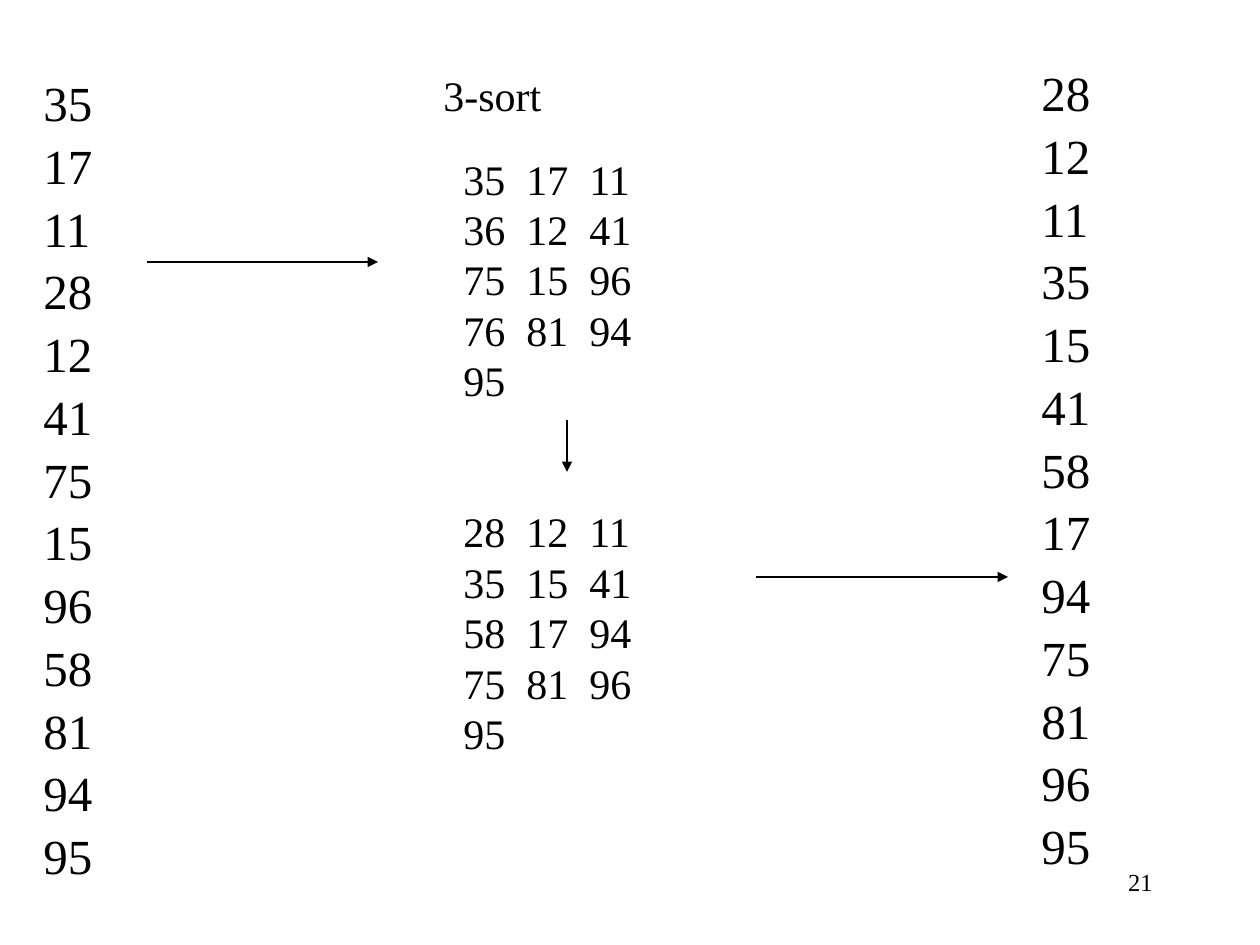
import pptx
import pptx.dml.color
import pptx.enum.shapes
import pptx.enum.text
import pptx.util
from lxml import etree
from pptx.oxml.ns import qn

BLACK = pptx.dml.color.RGBColor(0, 0, 0)
FONT = "Times New Roman"
EMU_PER_PX = 914400 / 126
TAB_STEP = 63

INPUT_VALUES = [35, 17, 11, 28, 12, 41, 75, 15, 96, 58, 81, 94, 95]
OUTPUT_VALUES = [28, 12, 11, 35, 15, 41, 58, 17, 94, 75, 81, 96, 95]
ROWS_BEFORE = [(35, 17, 11), (36, 12, 41), (75, 15, 96), (76, 81, 94), (95,)]
ROWS_AFTER = [(28, 12, 11), (35, 15, 41), (58, 17, 94), (75, 81, 96), (95,)]


def px(length):
    return pptx.util.Emu(round(length * EMU_PER_PX))


class SlideBuilder:
    """Holds the text and line style and the slide being filled."""

    def __init__(self, slide):
        self.slide = slide
        self.color = BLACK
        self.font = FONT

    def text(self, box, lines, size, align=pptx.enum.text.PP_ALIGN.LEFT):
        """Adds a text box with one paragraph a line; returns the paragraphs."""
        shape = self.slide.shapes.add_textbox(*map(px, box))
        frame = shape.text_frame
        frame.word_wrap = True
        frame.text = "\n".join(lines)
        for paragraph in frame.paragraphs:
            paragraph.alignment = align
            paragraph.font.name = self.font
            paragraph.font.size = pptx.util.Pt(size)
            paragraph.font.color.rgb = self.color
        return frame.paragraphs

    def number_column(self, left, top, values):
        size = 28
        for paragraph in self.text((left, top, 84, 840), map(str, values), size):
            paragraph.line_spacing = 0.9
            paragraph.space_before = pptx.util.Pt(0.2 * size)

    def number_grids(self, box, first_rows, second_rows):
        """Sets two grids of numbers in one box, two empty lines apart."""
        size = 24
        lines = ["\t".join(map(str, row)) for row in first_rows + second_rows]
        paragraphs = self.text(box, lines, size)
        for paragraph in paragraphs:
            properties = paragraph._p.get_or_add_pPr()
            tabs = etree.Element(qn("a:tabLst"))
            for column in (1, 2):
                etree.SubElement(tabs, qn("a:tab"),
                                 pos=str(px(column * TAB_STEP)), algn="l")
            properties.find(qn("a:defRPr")).addprevious(tabs)
        paragraphs[len(first_rows)].space_before = pptx.util.Pt(2 * 1.2 * size)

    def arrow(self, start, end):
        connector = self.slide.shapes.add_connector(
            pptx.enum.shapes.MSO_CONNECTOR.STRAIGHT, *map(px, start + end))
        connector.line.color.rgb = self.color
        connector.line.width = pptx.util.Pt(0.75)
        etree.SubElement(connector.line._get_or_add_ln(), qn("a:tailEnd"),
                         type="triangle")
        etree.SubElement(connector._element.spPr, qn("a:effectLst"))


def main():
    presentation = pptx.Presentation()
    presentation.slide_width, presentation.slide_height = px(1260), px(945)
    builder = SlideBuilder(
        presentation.slides.add_slide(presentation.slide_layouts[6]))

    builder.text((945, 861, 220, 63), ["21"], 14,
                 pptx.enum.text.PP_ALIGN.RIGHT)
    builder.number_column(31, 73, INPUT_VALUES)
    builder.number_column(1029, 63, OUTPUT_VALUES)
    builder.number_grids((451, 147, 200, 616), ROWS_BEFORE, ROWS_AFTER)
    builder.arrow((147, 262), (378, 262))
    builder.arrow((567, 420), (567, 472))
    builder.arrow((756, 577), (1008, 577))
    builder.text((431, 63, 125, 64), ["3-sort"], 24)

    presentation.save("out.pptx")


if __name__ == "__main__":
    main()
